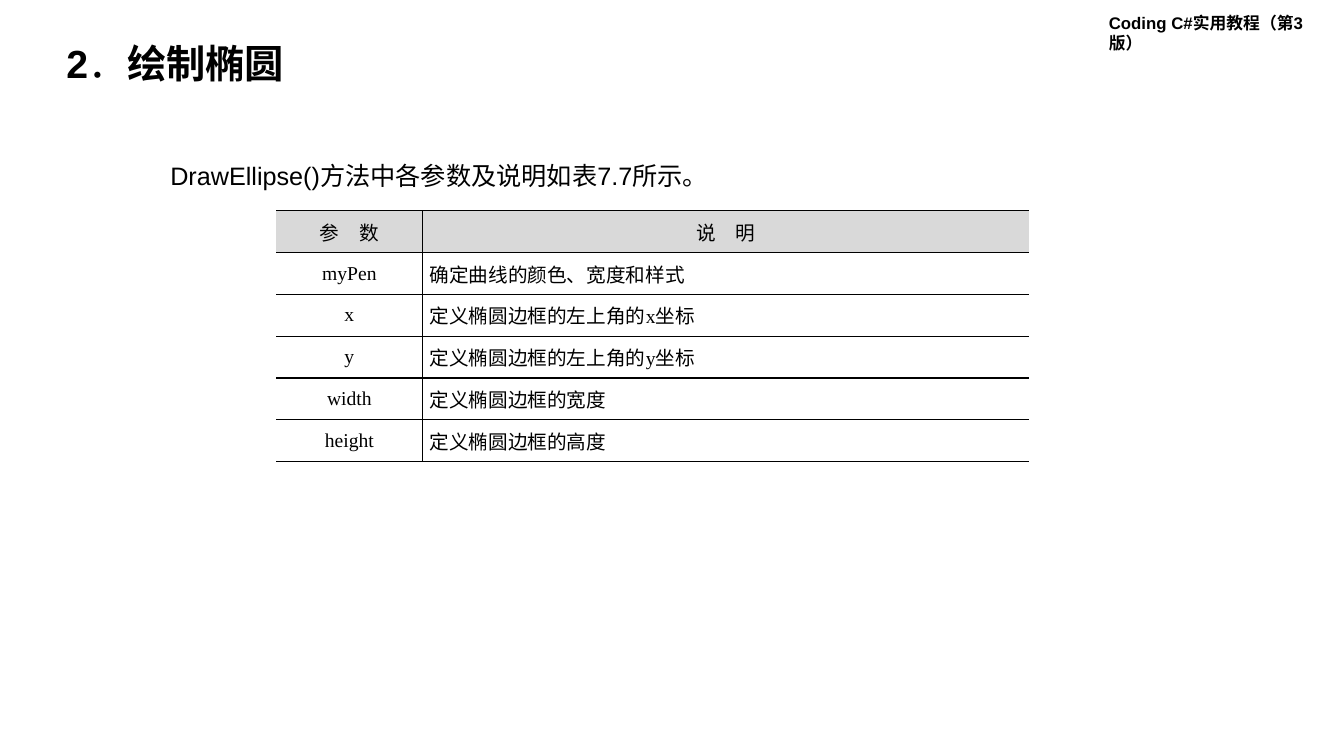
from lxml.etree import SubElement
from pptx import Presentation
from pptx.dml.color import RGBColor
from pptx.enum.text import MSO_ANCHOR as Anchor, PP_ALIGN as Align
from pptx.oxml.ns import qn
from pptx.util import Inches, Pt

BLACK = RGBColor(0x00, 0x00, 0x00)
HEADER_GREY = RGBColor(0xD9, 0xD9, 0xD9)

BOOK_FORMAT = {"name": "Arial", "size": Pt(12), "bold": True}
TITLE_FORMAT = {"name": "Arial", "size": Pt(28), "bold": True}
CAPTION_FORMAT = {"name": "Arial", "size": Pt(18), "bold": False}
CELL_FORMAT = {"name": "Times New Roman", "size": Pt(14), "bold": False}

COLUMN_WIDTHS = (1.45, 6.02)
PARAMETERS = (
    ("参　数", "说　明"),
    ("myPen", "确定曲线的颜色、宽度和样式"),
    ("x", "定义椭圆边框的左上角的x坐标"),
    ("y", "定义椭圆边框的左上角的y坐标"),
    ("width", "定义椭圆边框的宽度"),
    ("height", "定义椭圆边框的高度"),
)


def add_run(paragraph, text, font_format):
    run = paragraph.add_run()
    run.text = text
    for attribute, value in font_format.items():
        setattr(run.font, attribute, value)
    run.font.color.rgb = BLACK


def add_text(slide, box, runs, wrap=True, anchor=Anchor.TOP, line_spacing=1.0):
    shape = slide.shapes.add_textbox(*map(Inches, box))
    frame = shape.text_frame
    frame.word_wrap = wrap
    frame.vertical_anchor = anchor
    paragraph = frame.paragraphs[0]
    paragraph.line_spacing = line_spacing
    for text, font_format in runs:
        add_run(paragraph, text, font_format)


def set_borders(cell, visible_sides):
    properties = cell._tc.get_or_add_tcPr()
    for side in "LRTB":
        line = SubElement(properties, qn(f"a:ln{side}"), w=str(Pt(1)))
        if side in visible_sides:
            fill = SubElement(line, qn("a:solidFill"))
            SubElement(fill, qn("a:srgbClr"), val=str(BLACK))
        else:
            SubElement(line, qn("a:noFill"))


def fill_cell(cell, text, is_header, is_name):
    cell_format = {
        "margin_left": Inches(0.07),
        "margin_right": Inches(0.07),
        "margin_top": 0,
        "margin_bottom": 0,
        "vertical_anchor": Anchor.MIDDLE,
    }
    for attribute, value in cell_format.items():
        setattr(cell, attribute, value)
    set_borders(cell, "RTB" if is_name else "LTB")
    if is_header:
        cell.fill.solid()
        cell.fill.fore_color.rgb = HEADER_GREY
    else:
        cell.fill.background()
    paragraph = cell.text_frame.paragraphs[0]
    paragraph.alignment = Align.CENTER if is_header or is_name else Align.JUSTIFY
    add_run(paragraph, text, CELL_FORMAT)


def add_parameter_table(slide, box):
    frame = slide.shapes.add_table(len(PARAMETERS), len(COLUMN_WIDTHS), *map(Inches, box))
    table = frame.table
    table.first_row = False
    table.horz_banding = False
    for column, width in zip(table.columns, COLUMN_WIDTHS):
        column.width = Inches(width)
    for row_index, texts in enumerate(PARAMETERS):
        for column_index, text in enumerate(texts):
            cell = table.cell(row_index, column_index)
            fill_cell(cell, text, row_index == 0, column_index == 0)


def build_ellipse_slide(presentation):
    slide = presentation.slides.add_slide(presentation.slide_layouts[6])
    add_text(slide, (10.9, 0.08, 2.44, 0.3), [("Coding C#实用教程（第3版）", BOOK_FORMAT)])
    title_runs = [
        ("2", TITLE_FORMAT),
        ("．", {**TITLE_FORMAT, "bold": False}),
        ("绘制椭圆", TITLE_FORMAT),
    ]
    add_text(slide, (0.56, 0.39, 6.04, 0.52), title_runs,
             anchor=Anchor.MIDDLE, line_spacing=0.9)
    add_text(slide, (1.59, 1.54, 5.59, 0.4),
             [("DrawEllipse()方法中各参数及说明如表7.7所示。", CAPTION_FORMAT)], wrap=False)
    add_parameter_table(slide, (2.74, 2.09, sum(COLUMN_WIDTHS), 2.49))


def main():
    presentation = Presentation()
    presentation.slide_width = Inches(13.33)
    presentation.slide_height = Inches(7.5)
    build_ellipse_slide(presentation)
    presentation.save("out.pptx")


if __name__ == "__main__":
    main()
